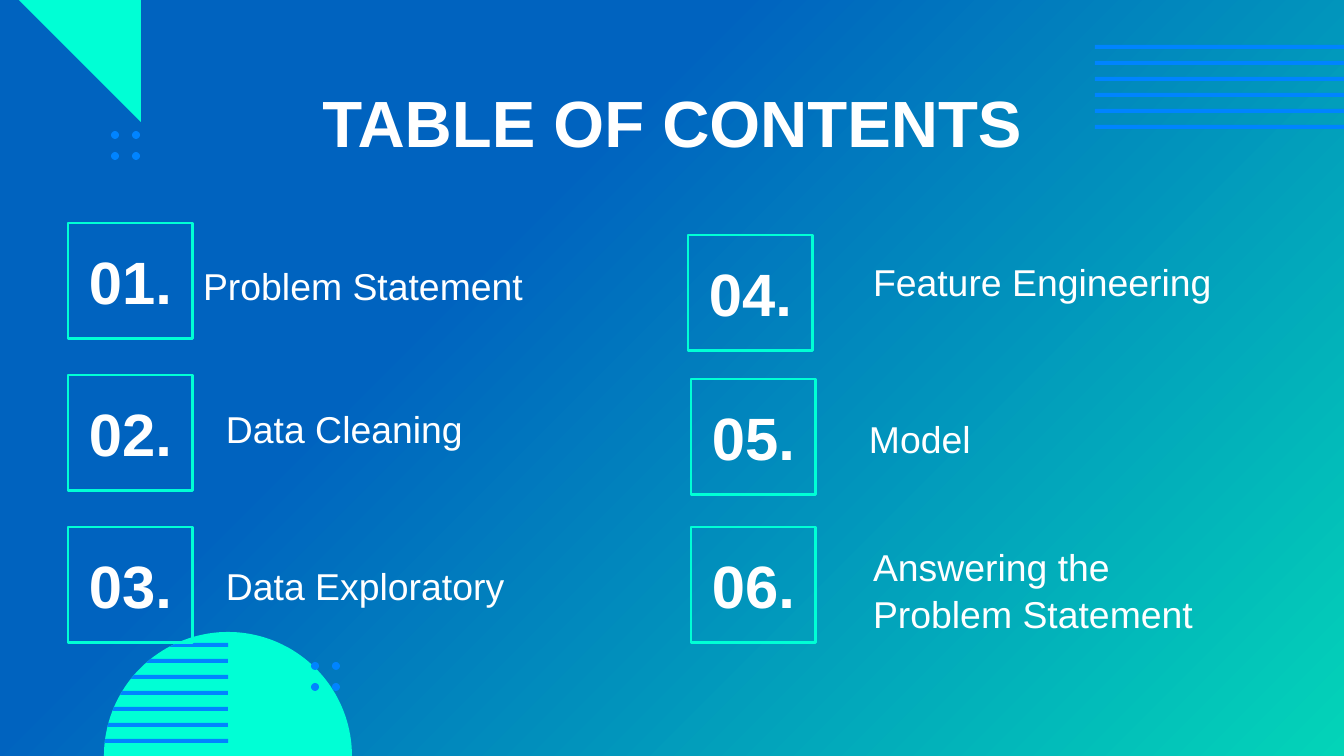
from math import cos, pi, sin, sqrt

from pptx import Presentation
from pptx.dml.color import RGBColor
from pptx.enum.shapes import MSO_SHAPE
from pptx.enum.text import MSO_ANCHOR, MSO_AUTO_SIZE, PP_ALIGN
from pptx.util import Pt

RECT, OVAL = MSO_SHAPE.RECTANGLE, MSO_SHAPE.OVAL
MIDDLE, NO_FIT = MSO_ANCHOR.MIDDLE, MSO_AUTO_SIZE.NONE
LEFT, CENTER = PP_ALIGN.LEFT, PP_ALIGN.CENTER
NAVY = RGBColor(0x00, 0x63, 0xBF)
TEAL = RGBColor(0x03, 0xD4, 0xB8)
BLUE = RGBColor(0x00, 0x84, 0xFF)
MINT = RGBColor(0x00, 0xFF, 0xD5)
WHITE = RGBColor(0xFF, 0xFF, 0xFF)
PX = 9144000 / 1344  # slide is 1344 px wide


def px(*nums):
    """Turn px lengths into EMU."""
    return [round(n * PX) for n in nums]


def write(shape, text, size, bold, align):
    frame = shape.text_frame
    frame.text = text
    frame.word_wrap = True
    frame.auto_size = NO_FIT
    frame.vertical_anchor = MIDDLE
    frame.margin_left, frame.margin_right = px(13, 13)
    frame.margin_top, frame.margin_bottom = px(13, 13)
    para = frame.paragraphs[0]
    para.alignment = align
    para.font.name = "Arial"
    para.font.size = Pt(size)
    para.font.bold = bold
    para.font.color.rgb = WHITE
    return para


prs = Presentation()
prs.slide_width, prs.slide_height = px(1344, 756)
slide = prs.slides.add_slide(prs.slide_layouts[5])
shapes = slide.shapes

back = slide.background.fill
back.gradient()
back.gradient_angle = 315
for stop, (color, pos) in zip(back.gradient_stops, [(NAVY, 0.35), (TEAL, 1)]):
    stop.color.rgb = color
    stop.position = pos

# Corner triangle, half disc and its stripes, as outlines
mid, base, rad = 228, 756, 124
arc = [(mid - rad * cos(pi * i / 90), base - rad * sin(pi * i / 90))
       for i in range(91)]
forms = [([(19, 0), (141, 122), (141, 0)], MINT), (arc, MINT)]
for top in range(643, 740, 16):
    low = top + 4
    edge = [mid - sqrt(rad ** 2 - (base - y) ** 2) for y in (top, low)]
    forms.append(([(edge[0], top), (mid, top), (mid, low), (edge[1], low)], BLUE))

decor = []
for points, color in forms:
    spots = [px(*point) for point in points]
    pen = shapes.build_freeform(*spots[0])
    pen.add_line_segments(spots[1:])
    decor.append((pen.convert_to_shape(), color))

# Stripes at top right, then two clusters of dots
for row in range(6):
    decor.append((shapes.add_shape(RECT, *px(1095, 45 + 16 * row, 249, 4)), BLUE))
for left, top in [(111, 131), (311, 662)]:
    for x in (left, left + 21):
        for y in (top, top + 21):
            decor.append((shapes.add_shape(OVAL, *px(x, y, 8, 8)), BLUE))

for shape, color in decor:
    shape.shadow.inherit = False
    shape.fill.solid()
    shape.fill.fore_color.rgb = color
    shape.line.fill.background()

title = shapes.title
title.left, title.top, title.width, title.height = px(106, 79, 1133, 85)
write(title, "TABLE OF CONTENTS", 35, True, CENTER)

# Number box left and top, then label text and its box
items = [
    (68, 223, "Problem Statement", (190, 257, 379, 54)),
    (68, 375, "Data Cleaning", (213, 400, 379, 54)),
    (68, 527, "Data Exploratory", (213, 557, 331, 54)),
    (688, 235, "Feature Engineering", (860, 253, 379, 54)),
    (691, 379, "Model", (856, 410, 145, 54)),
    (691, 527, "Answering the Problem Statement", (860, 551, 379, 75)),
]
for num, (left, top, text, area) in enumerate(items, 1):
    box = shapes.add_shape(RECT, *px(left, top, 125, 116))
    box.shadow.inherit = False
    box.fill.background()
    box.line.color.rgb = MINT
    box.line.width = Pt(1.5)
    write(box, f"{num:02}.", 32, True, CENTER)
    label = shapes.add_textbox(*px(*area))
    write(label, text, 20, False, LEFT).line_spacing = 1.05

prs.save("out.pptx")
